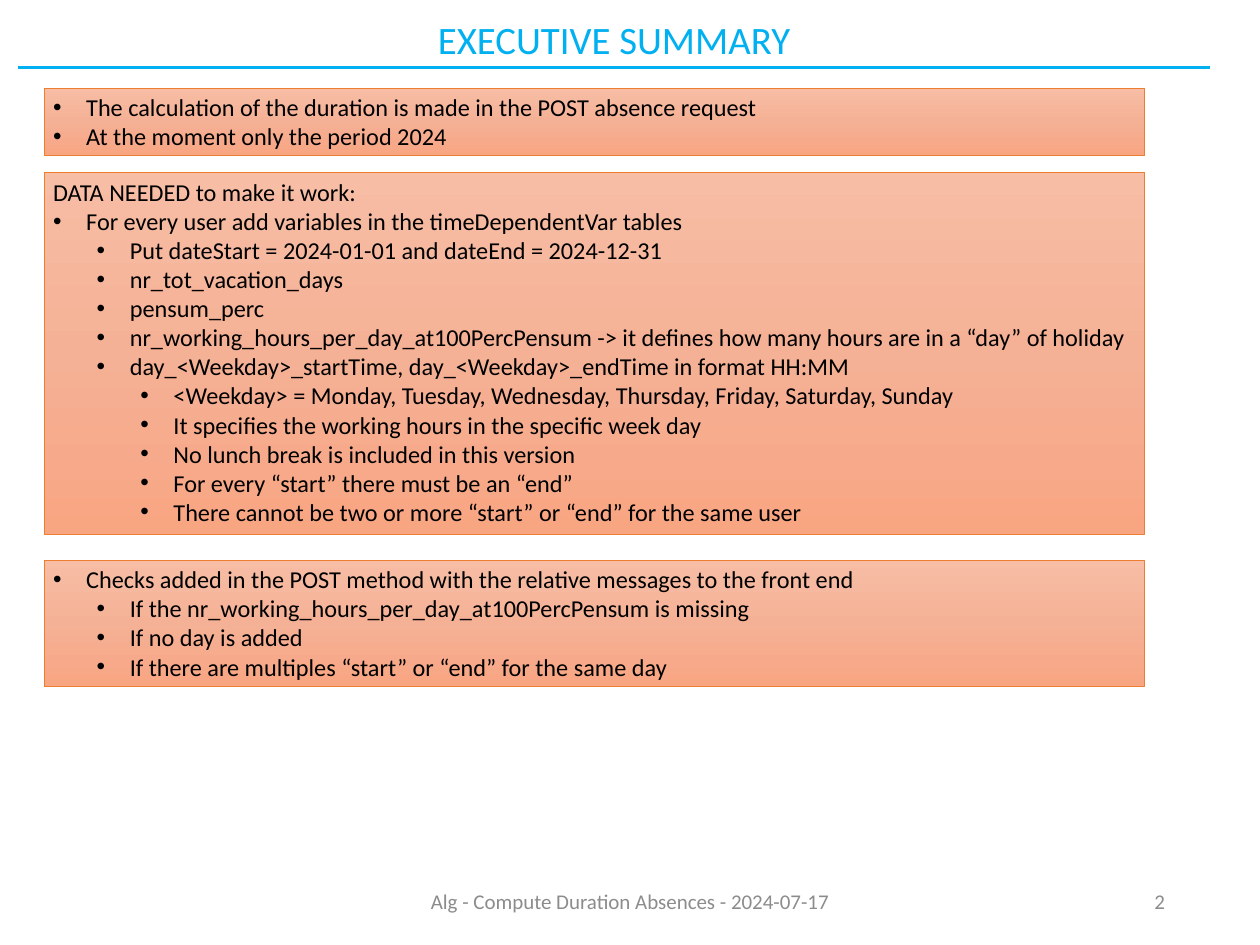
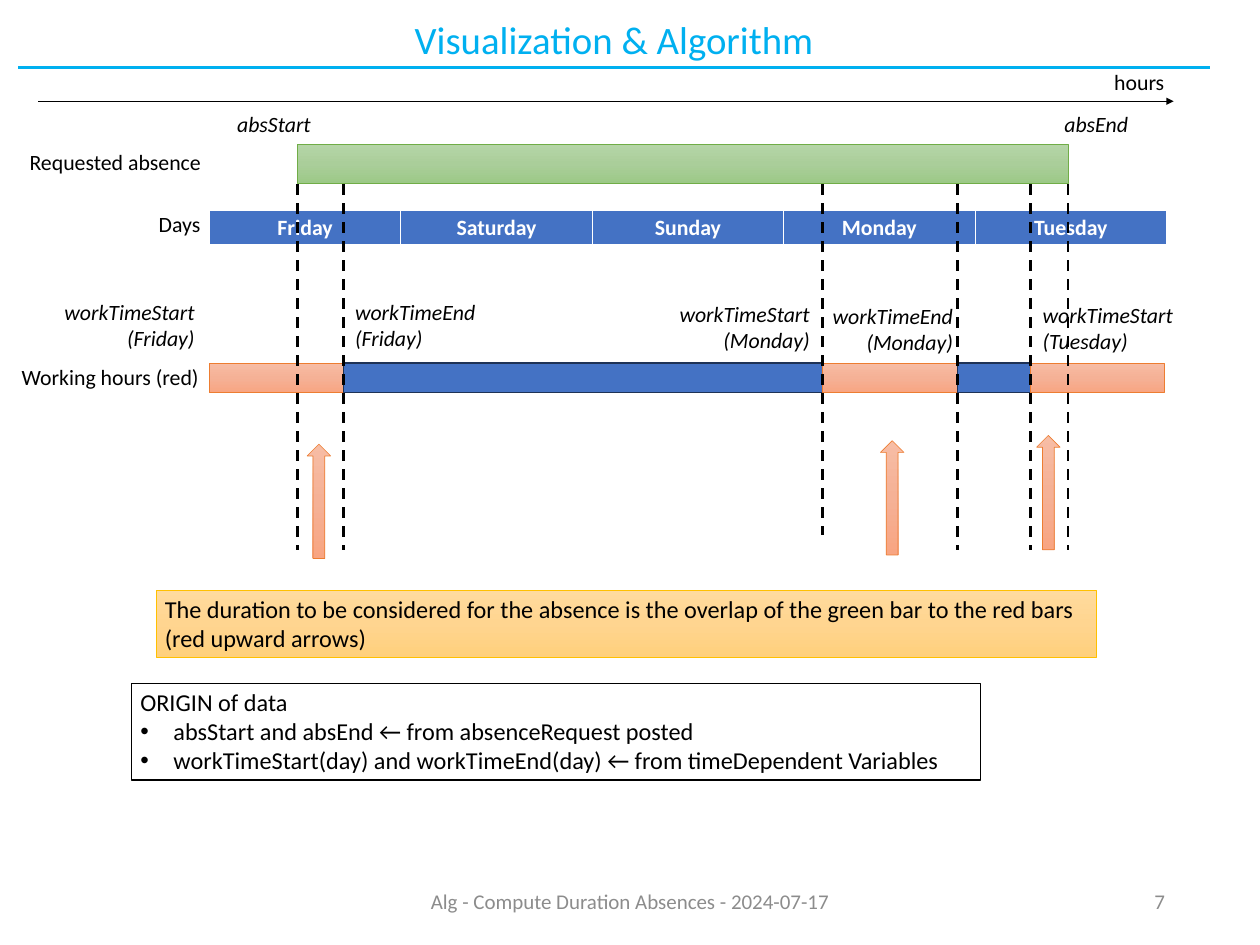
from copy import deepcopy
from itertools import pairwise
from lxml.etree import SubElement
from pptx import Presentation
from pptx.dml.color import RGBColor
from pptx.enum.dml import MSO_LINE
from pptx.enum.shapes import MSO_CONNECTOR, MSO_SHAPE
from pptx.enum.text import MSO_ANCHOR, MSO_AUTO_SIZE, PP_ALIGN
from pptx.oxml.ns import qn
from pptx.util import Pt

PX = 9144
FONT = "Calibri"
BLACK, WHITE, CYAN, GREY, BLUE, NAVY = "000000", "FFFFFF", "00B0F0", "8C8C8C", "4472C4", "1E3256"
RED = (["F7BDA5", "F5B196", "F8A582"], "ED7D31", 0.5)
GREEN = (["B5D5A7", "AACE9A", "9CC987"], "70AD47", 0.5)
GOLD = (["FFDB9E", "FFD590", "FFD07C"], "FFC000", 0.5)
SOLID_BLUE = (BLUE, NAVY, 1)
OUTLINED = (WHITE, BLACK, 1)
LEFT, CENTER, RIGHT = PP_ALIGN.LEFT, PP_ALIGN.CENTER, PP_ALIGN.RIGHT
FOOTER = "Alg - Compute Duration Absences - 2024-07-17"

SUMMARY_BOXES = [
    ((51, 101, 1260, 77), [
        (0, "The calculation of the duration is made in the POST absence request"),
        (0, "At the moment only the period 2024"),
    ]),
    ((51, 198, 1260, 414), [
        "DATA NEEDED to make it work:",
        (0, "For every user add variables in the timeDependentVar tables"),
        (1, "Put dateStart = 2024-01-01 and dateEnd = 2024-12-31"),
        (1, "nr_tot_vacation_days"),
        (1, "pensum_perc"),
        (1, "nr_working_hours_per_day_at100PercPensum -> it defines how many hours are in a “day” of holiday"),
        (1, "day_<Weekday>_startTime, day_<Weekday>_endTime in format HH:MM"),
        (2, "<Weekday> = Monday, Tuesday, Wednesday, Thursday, Friday, Saturday, Sunday"),
        (2, "It specifies the working hours in the specific week day"),
        (2, "No lunch break is included in this version"),
        (2, "For every “start” there must be an “end”"),
        (2, "There cannot be two or more “start” or “end” for the same user"),
    ]),
    ((51, 642, 1260, 145), [
        (0, "Checks added in the POST method with the relative messages to the front end"),
        (1, "If the nr_working_hours_per_day_at100PercPensum is missing"),
        (1, "If no day is added"),
        (1, "If there are multiples “start” or “end” for the same day"),
    ]),
]

DAYS = ["Friday", "Saturday", "Sunday", "Monday", "Tuesday"]
DAYS_BOX = (240, 241, 1097, 41)
ABS_START, ABS_END = 341, 1224
WORK_EDGES = [240, 394, 943, 1097, 1181, 1334]
ARROWS = [(352, 509), (1009, 505), (1188, 499)]
ROW_LABELS = [
    ((24, 166, 219, 40), "Requested absence"),
    ((1267, 74, 78, 40), "hours"),
    ((15, 412, 226, 40), "Working hours (red)"),
    ((172, 237, 68, 40), "Days"),
]
TIME_LABELS = [
    ((262, 122, 104, 40), ["absStart"], LEFT),
    ((1210, 122, 94, 40), ["absEnd"], LEFT),
    ((62, 337, 171, 71), ["workTimeStart", "(Friday)"], RIGHT),
    ((397, 337, 159, 71), ["workTimeEnd", "(Friday)"], LEFT),
    ((767, 340, 171, 71), ["workTimeStart", "(Monday)"], RIGHT),
    ((943, 342, 159, 71), ["workTimeEnd", "(Monday)"], RIGHT),
    ((1185, 341, 171, 71), ["workTimeStart", "(Tuesday)"], LEFT),
]
RULE = [
    "The duration to be considered for the absence is the overlap of the green bar to the red bars",
    "(red upward arrows)",
]
ORIGIN = [
    "ORIGIN of data",
    (0, "absStart and absEnd ← from absenceRequest posted"),
    (0, "workTimeStart(day) and workTimeEnd(day) ← from timeDependent Variables"),
]


def rgb(color):
    return RGBColor.from_string(color)


def emu(box):
    return [v * PX for v in box]


def write(tf, lines, size=20, color=BLACK, align=LEFT, bold=False, italic=False,
          anchor=MSO_ANCHOR.TOP, wrap=True):
    tf.word_wrap = wrap
    tf.auto_size = MSO_AUTO_SIZE.NONE
    tf.vertical_anchor = anchor
    for i, line in enumerate(lines):
        p = tf.add_paragraph() if i else tf.paragraphs[0]
        if isinstance(line, tuple):
            level, line = line
            p.level = level
            pPr = p._p.get_or_add_pPr()
            pPr.set("marL", str((38 + 50 * level) * PX))
            pPr.set("indent", str(-38 * PX))
            SubElement(pPr, qn("a:buFont"), typeface="Arial")
            SubElement(pPr, qn("a:buChar"), char="•")
        p.alignment = align
        r = p.add_run()
        r.text = line
        f = r.font
        f.name, f.size, f.bold, f.italic = FONT, Pt(size), bold, italic
        f.color.rgb = rgb(color)


def add_text(s, box, lines, **fmt):
    write(s.shapes.add_textbox(*emu(box)).text_frame, lines, **fmt)


def add_box(s, box, style, lines=(), kind=MSO_SHAPE.RECTANGLE, **fmt):
    fill, line, width = style
    sp = s.shapes.add_shape(kind, *emu(box))
    sp.shadow.inherit = False
    if isinstance(fill, list):
        sp.fill.gradient()
        sp.fill.gradient_angle = 270
        stops = sp._element.spPr.find(".//" + qn("a:gsLst"))
        stops.insert(1, deepcopy(stops[0]))
        for i, (stop, color) in enumerate(zip(sp.fill.gradient_stops, fill)):
            stop.color.rgb = rgb(color)
            stop.position = i / 2
    else:
        sp.fill.solid()
        sp.fill.fore_color.rgb = rgb(fill)
    sp.line.color.rgb = rgb(line)
    sp.line.width = Pt(width)
    if lines:
        write(sp.text_frame, lines, **fmt)


def add_line(s, ends, color=BLACK, width=2.25, dash=False, arrow=False):
    c = s.shapes.add_connector(MSO_CONNECTOR.STRAIGHT, *emu(ends))
    c.line.color.rgb = rgb(color)
    c.line.width = Pt(width)
    if dash:
        c.line.dash_style = MSO_LINE.DASH
    if arrow:
        SubElement(c.line._get_or_add_ln(), qn("a:tailEnd"), type="triangle")
    SubElement(c._element.spPr, qn("a:effectLst"))


def add_days(s):
    x, y, w, h = emu(DAYS_BOX)
    table = s.shapes.add_table(1, len(DAYS), x, y, w, h).table
    for i, day in enumerate(DAYS):
        table.columns[i].width = w // len(DAYS)
        cell = table.cell(0, i)
        for side, width in (("L", 1), ("R", 1), ("T", 1), ("B", 3)):
            ln = SubElement(cell._tc.get_or_add_tcPr(), qn(f"a:ln{side}"), w=str(Pt(width)))
            SubElement(SubElement(ln, qn("a:solidFill")), qn("a:srgbClr"), val=WHITE)
        cell.fill.solid()
        cell.fill.fore_color.rgb = rgb(BLUE)
        write(cell.text_frame, [day], size=18, color=WHITE, align=CENTER, bold=True)


def add_slide(prs, title, number):
    s = prs.slides.add_slide(prs.slide_layouts[5])
    t = s.shapes.title
    t.left, t.top, t.width, t.height = emu((21, 13, 1366, 64))
    write(t.text_frame, [title], size=32, color=CYAN, align=CENTER)
    add_line(s, (21, 77, 1387, 77), color=CYAN)
    for box, text, align in (((478, 1004, 488, 58), FOOTER, CENTER),
                             ((1020, 1004, 325, 58), number, RIGHT)):
        add_text(s, box, [text], size=17.3, color=GREY, align=align, anchor=MSO_ANCHOR.MIDDLE)
    return s


def build_summary(prs):
    s = add_slide(prs, "EXECUTIVE SUMMARY", "2")
    for box, lines in SUMMARY_BOXES:
        add_box(s, box, RED, lines)


def build_timeline(prs):
    s = add_slide(prs, "Visualization & Algorithm", "7")
    add_line(s, (44, 116, 1345, 116), width=0.5, arrow=True)
    add_box(s, (ABS_START, 166, ABS_END - ABS_START, 44), GREEN)
    for box, text in ROW_LABELS:
        add_text(s, box, [text], size=18, wrap=False)
    add_days(s)
    for i, (x1, x2) in enumerate(pairwise(WORK_EDGES)):
        add_box(s, (x1, 416, x2 - x1, 34), SOLID_BLUE if i % 2 else RED)
    for x in (ABS_START, *WORK_EDGES[1:-1], ABS_END):
        add_line(s, (x, 211, x, 613 if x == WORK_EDGES[2] else 630), dash=True)
    for x, y in ARROWS:
        add_box(s, (x, y, 27, 131), RED, kind=MSO_SHAPE.UP_ARROW)
    for box, lines, align in TIME_LABELS:
        add_text(s, box, lines, size=18, italic=True, align=align, wrap=False)
    add_box(s, (179, 676, 1078, 77), GOLD, RULE, wrap=False)
    add_box(s, (151, 783, 973, 111), OUTLINED, ORIGIN)


def main():
    prs = Presentation()
    prs.slide_width, prs.slide_height = emu((1444, 1083))
    build_summary(prs)
    build_timeline(prs)
    prs.save("out.pptx")


if __name__ == "__main__":
    main()
